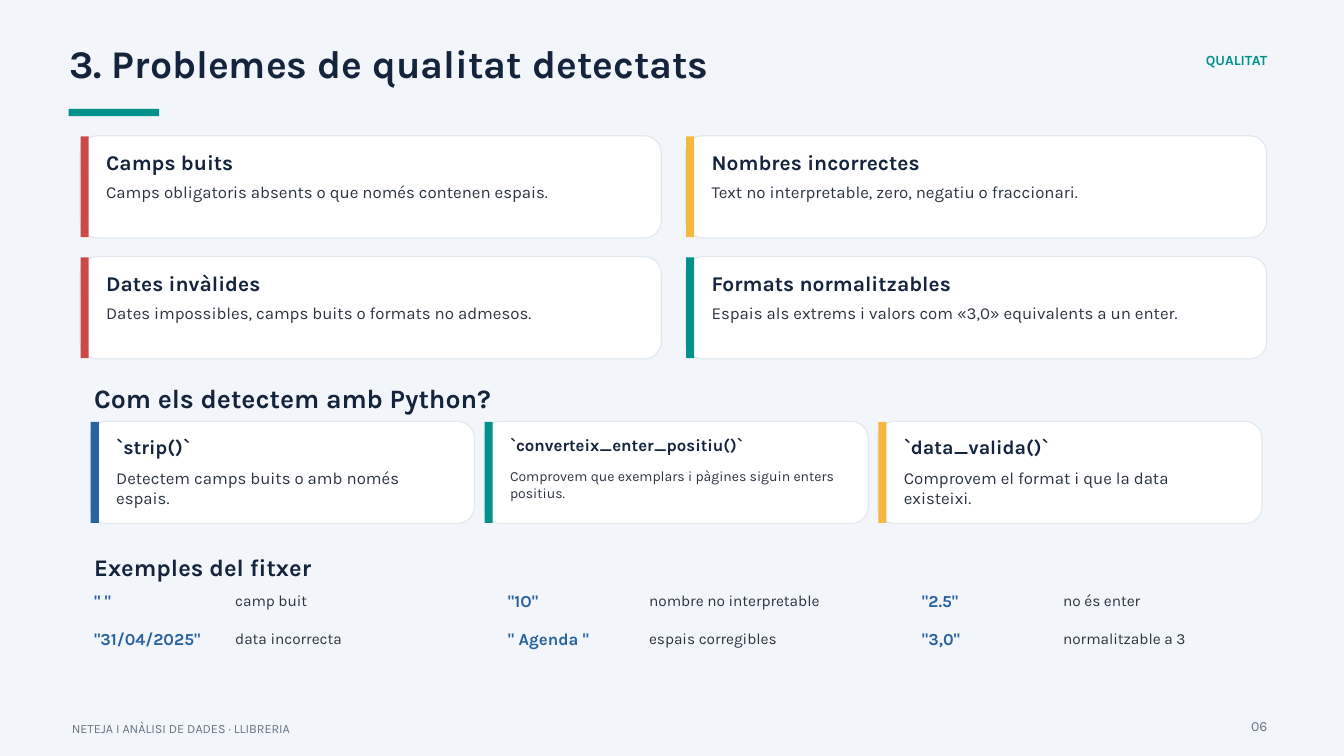
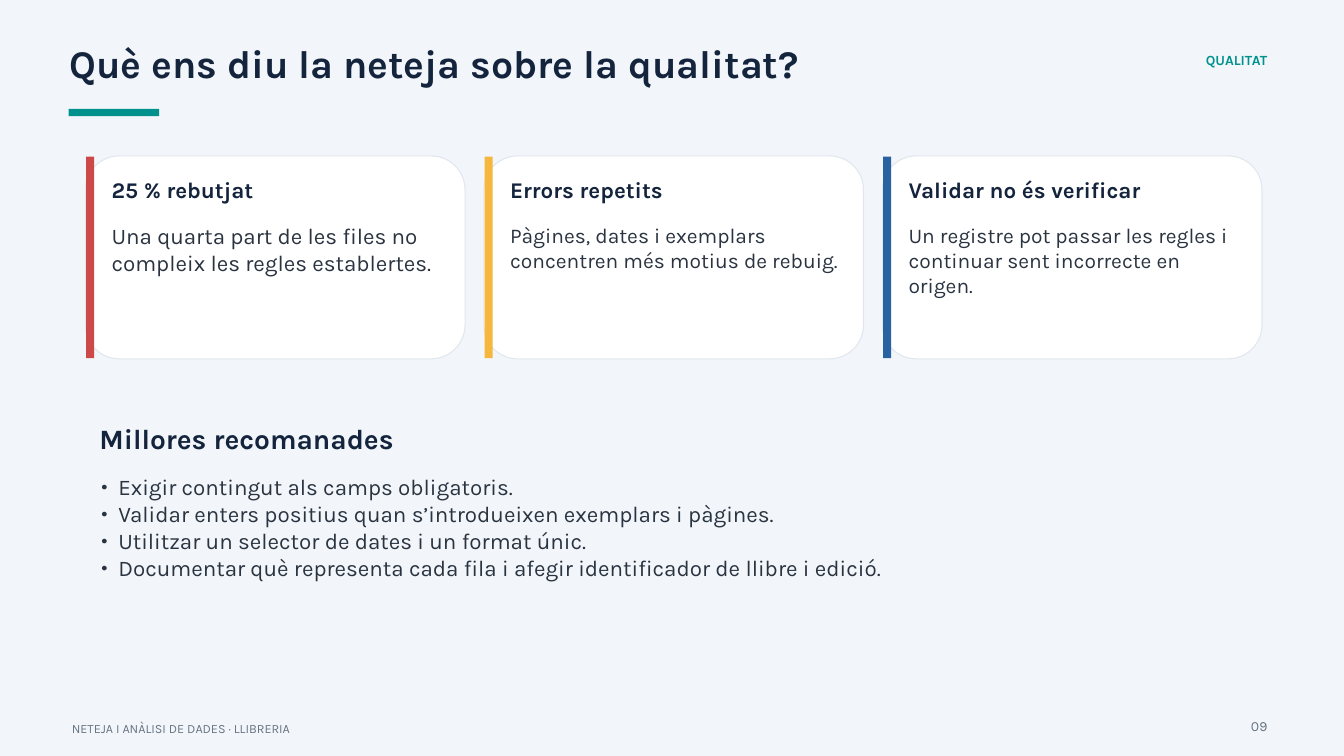
from lxml.etree import SubElement
from pptx import Presentation
from pptx.dml.color import RGBColor
from pptx.enum.shapes import MSO_SHAPE
from pptx.enum.text import MSO_AUTO_SIZE, PP_ALIGN
from pptx.oxml.ns import qn
from pptx.util import Inches, Pt

FONT = "Karla"
COLORS = {
    "background": "F2F6FA", "white": "FFFFFF", "border": "E0E7EE",
    "navy": "14243D", "text": "2A3441", "muted": "677482",
    "teal": "00918C", "red": "CD4949", "amber": "F5B73D", "blue": "2962A0",
}
SECTION = "QUALITAT"
FOOTER = "NETEJA I ANÀLISI DE DADES · LLIBRERIA"

PROBLEMS = [
    ("red", "Camps buits", 22.5, "Camps obligatoris absents o que només contenen espais.", 18),
    ("amber", "Nombres incorrectes", 22.5, "Text no interpretable, zero, negatiu o fraccionari.", 18),
    ("red", "Dates invàlides", 22.5, "Dates impossibles, camps buits o formats no admesos.", 18),
    ("teal", "Formats normalitzables", 22.5, "Espais als extrems i valors com «3,0» equivalents a un enter.", 18),
]
CHECKS = [
    ("blue", "`strip()`", 21, "Detectem camps buits o amb només espais.", 18),
    ("teal", "`converteix_enter_positiu()`", 18, "Comprovem que exemplars i pàgines siguin enters positius.", 15),
    ("amber", "`data_valida()`", 21, "Comprovem el format i que la data existeixi.", 18),
]
EXAMPLES = [
    ('" "', "camp buit"), ('"1O"', "nombre no interpretable"), ('"2.5"', "no és enter"),
    ('"31/04/2025"', "data incorrecta"), ('" Agenda "', "espais corregibles"),
    ('"3,0"', "normalitzable a 3"),
]
FINDINGS = [
    ("red", "25 % rebutjat", 24, "Una quarta part de les files no compleix les regles establertes.", 24),
    ("amber", "Errors repetits", 24, "Pàgines, dates i exemplars concentren més motius de rebuig.", 22.5),
    ("blue", "Validar no és verificar", 24,
     "Un registre pot passar les regles i continuar sent incorrecte en origen.", 22.5),
]
IMPROVEMENTS = [
    "Exigir contingut als camps obligatoris.",
    "Validar enters positius quan s’introdueixen exemplars i pàgines.",
    "Utilitzar un selector de dates i un format únic.",
    "Documentar què representa cada fila i afegir identificador de llibre i edició.",
]


def rgb(name):
    return RGBColor.from_string(COLORS[name])


def add_bullet(p, indent=0.25):
    pPr = p._p.get_or_add_pPr()
    pPr.set("marL", str(Inches(indent)))
    pPr.set("indent", str(-Inches(indent)))
    SubElement(pPr, qn("a:buFont")).set("typeface", FONT)
    SubElement(pPr, qn("a:buChar")).set("char", "•")


def add_text(s, x, y, w, h, lines, size, color="text", bold=False, align=None, bullets=False):
    tf = s.shapes.add_textbox(Inches(x), Inches(y), Inches(w), Inches(h)).text_frame
    tf.word_wrap = True
    tf.auto_size = MSO_AUTO_SIZE.SHAPE_TO_FIT_TEXT
    tf.margin_left = tf.margin_top = tf.margin_right = tf.margin_bottom = 0
    for i, line in enumerate(lines):
        p = tf.add_paragraph() if i else tf.paragraphs[0]
        if bullets:
            add_bullet(p)
        p.line_spacing = Pt(1.2 * size)
        if align is not None:
            p.alignment = align
        r = p.add_run()
        r.text = line
        r.font.name = FONT
        r.font.size = Pt(size)
        r.font.bold = bold
        r.font.color.rgb = rgb(color)


def add_box(s, kind, x, y, w, h, fill, line=None):
    sp = s.shapes.add_shape(kind, Inches(x), Inches(y), Inches(w), Inches(h))
    sp.shadow.inherit = False
    sp.fill.solid()
    sp.fill.fore_color.rgb = rgb(fill)
    if line:
        sp.line.color.rgb = rgb(line)
        sp.line.width = Pt(1.13)
    else:
        sp.line.fill.background()


def add_cards(s, cards, columns, left, top, w, h, step_x, title_dy, body_dy, step_y=0):
    for i, (accent, title, title_size, body, body_size) in enumerate(cards):
        row, column = divmod(i, columns)
        x, y = left + column * step_x, top + row * step_y
        add_box(s, MSO_SHAPE.ROUNDED_RECTANGLE, x, y, w, h, "white", "border")
        add_box(s, MSO_SHAPE.RECTANGLE, x + 0.01, y + 0.01, 0.12, h - 0.02, accent)
        add_text(s, x + 0.39, y + title_dy, w - 0.72, 0.36, [title], title_size, "navy", True)
        add_text(s, x + 0.39, y + body_dy, w - 0.72, h - body_dy - 0.12, [body], body_size)


def add_base_slide(prs, title, number):
    s = prs.slides.add_slide(prs.slide_layouts[6])
    add_text(s, 1.03, 0.58, 17.76, 0.83, [title], 42, "navy", True)
    add_box(s, MSO_SHAPE.RECTANGLE, 1.02, 1.62, 1.35, 0.11, "teal")
    add_text(s, 15.51, 0.77, 3.35, 0.35, [SECTION], 15, "teal", True, PP_ALIGN.RIGHT)
    add_text(s, 1.07, 10.73, 12.66, 0.21, [FOOTER], 13.5, "muted")
    add_text(s, 18.21, 10.68, 0.65, 0.28, [number], 15, "muted", align=PP_ALIGN.RIGHT)
    return s


def add_problems_slide(prs):
    s = add_base_slide(prs, "3. Problemes de qualitat detectats", "06")
    add_cards(s, PROBLEMS, 2, 1.19, 2.02, 8.65, 1.52, 9.01, 0.21, 0.69, step_y=1.8)
    add_text(s, 1.4, 5.68, 7.41, 0.43, ["Com els detectem amb Python?"], 28.5, "navy", True)
    add_cards(s, CHECKS, 3, 1.34, 6.27, 5.72, 1.52, 5.86, 0.2, 0.69)
    add_text(s, 1.4, 8.23, 4.7, 0.35, ["Exemples del fitxer"], 25.5, "navy", True)
    for i, (value, meaning) in enumerate(EXAMPLES):
        row, column = divmod(i, 3)
        x, y = 1.4 + column * 6.16, 8.79 + row * 0.57
        add_text(s, x, y, 2.23, 0.32, [value], 18, "blue", True)
        add_text(s, x + 2.1, y, 3.65, 0.32, [meaning], 16.5)


def add_findings_slide(prs):
    s = add_base_slide(prs, "Què ens diu la neteja sobre la qualitat?", "09")
    add_cards(s, FINDINGS, 3, 1.27, 2.32, 5.65, 3.02, 5.93, 0.3, 0.99)
    add_text(s, 1.48, 6.28, 5.9, 0.5, ["Millores recomanades"], 30, "navy", True)
    add_text(s, 1.51, 7.04, 17.25, 2.75, IMPROVEMENTS, 24, bullets=True)


def main():
    prs = Presentation()
    prs.slide_width, prs.slide_height = Inches(20), Inches(11.25)
    fill = prs.slide_master.background.fill
    fill.solid()
    fill.fore_color.rgb = rgb("background")
    add_problems_slide(prs)
    add_findings_slide(prs)
    prs.save("out.pptx")


if __name__ == "__main__":
    main()
